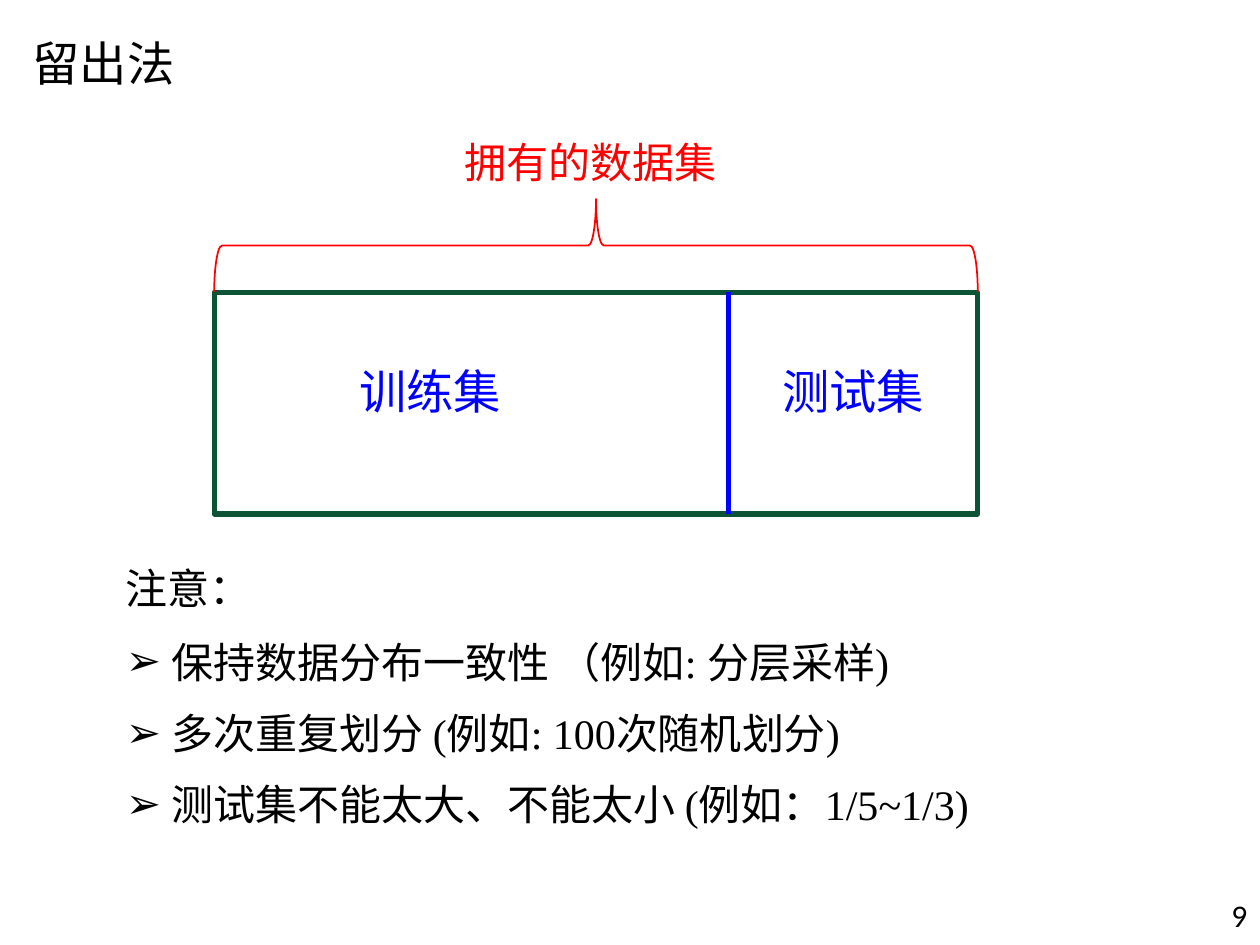
from itertools import cycle

from lxml import etree
from pptx import Presentation
from pptx.dml.color import RGBColor
from pptx.enum.shapes import MSO_CONNECTOR, MSO_SHAPE
from pptx.enum.text import MSO_ANCHOR, PP_ALIGN
from pptx.oxml.ns import qn
from pptx.util import Pt

LEFT, RIGHT = PP_ALIGN.LEFT, PP_ALIGN.RIGHT
TOP = MSO_ANCHOR.TOP
RECTANGLE, BRACE = MSO_SHAPE.RECTANGLE, MSO_SHAPE.LEFT_BRACE
STRAIGHT = MSO_CONNECTOR.STRAIGHT

COLORS = {"black": "000000", "blue": "0000FF", "red": "FF0000", "green": "0D5436"}
CJK, LATIN, NUMBER, BULLET = "Noto Sans CJK SC", "Times New Roman", "Calibri", "Arial"


def rgb(name):
    return RGBColor.from_string(COLORS[name])


def write(p, text, size=24, color="black", font=CJK, align=LEFT, line=None, before=0):
    """Add one run to a paragraph and set its format."""
    p.alignment = align
    p.space_before = Pt(before)
    if line:
        p.line_spacing = Pt(line)
    r = p.add_run()
    r.text = text
    r.font.size = Pt(size)
    r.font.bold = False
    r.font.color.rgb = rgb(color)
    r.font.name = font
    if font == CJK:
        etree.SubElement(r.font._element, qn("a:ea"), typeface=font)


def add_bullet(p, char="➢", indent=26):
    pPr = p._p.get_or_add_pPr()
    pPr.set("marL", str(Pt(indent)))
    pPr.set("indent", str(-Pt(indent)))
    etree.SubElement(pPr, qn("a:buFont"), typeface=BULLET)
    etree.SubElement(pPr, qn("a:buChar"), char=char)


class SlideBuilder:
    def __init__(self, slide):
        self.s = slide

    def frame(self, sp, wrap=False):
        tf = sp.text_frame
        tf.word_wrap = wrap
        tf.vertical_anchor = TOP
        tf.margin_left = tf.margin_right = tf.margin_top = tf.margin_bottom = 0
        return tf

    def title(self, text, x, y, w, h, **fmt):
        sp = self.s.shapes.title
        sp.left, sp.top, sp.width, sp.height = Pt(x), Pt(y), Pt(w), Pt(h)
        write(self.frame(sp).paragraphs[0], text, **fmt)

    def box(self, x, y, w, h):
        return self.frame(self.s.shapes.add_textbox(Pt(x), Pt(y), Pt(w), Pt(h)), wrap=True)

    def label(self, text, x, y, w, h, **fmt):
        write(self.box(x, y, w, h).paragraphs[0], text, **fmt)

    def outline(self, kind, x, y, w, h, color, weight, rotation=0):
        sp = self.s.shapes.add_shape(kind, Pt(x), Pt(y), Pt(w), Pt(h))
        sp.shadow.inherit = False
        sp.fill.background()
        sp.line.color.rgb = rgb(color)
        sp.line.width = Pt(weight)
        sp.rotation = rotation

    def line(self, x1, y1, x2, y2, color, weight):
        c = self.s.shapes.add_connector(STRAIGHT, Pt(x1), Pt(y1), Pt(x2), Pt(y2))
        c.line.color.rgb = rgb(color)
        c.line.width = Pt(weight)
        etree.SubElement(c._element.spPr, qn("a:effectLst"))

    def bullets(self, heading, items, x, y, w, h):
        """Heading and bullets; each item alternates CJK and Latin runs."""
        tf = self.box(x, y, w, h)
        write(tf.paragraphs[0], heading, line=23.1)
        for i, item in enumerate(items):
            p = tf.add_paragraph()
            add_bullet(p)
            for text, font in zip(item, cycle((CJK, LATIN))):
                write(p, text, font=font, line=30.7 if i else 32.4, before=10)


def main():
    prs = Presentation()
    prs.slide_width, prs.slide_height = Pt(720), Pt(540)
    b = SlideBuilder(prs.slides.add_slide(prs.slide_layouts[5]))

    # Title and page number
    b.title("留出法", 18.7, 25.2, 391, 27, size=27, line=26.9)
    b.label("9", 640, 512, 72.8, 22, size=18, font=NUMBER, align=RIGHT)

    # Data set bar, split into training and test sets
    x, y, w, h = 122.4, 167, 436.3, 126.7
    split = 416.2
    b.outline(RECTANGLE, x, y, w, h, "green", 3)
    b.line(split, y, split, y + h, "blue", 3)
    for text, left in (("训练集", 205.2), ("测试集", 447.1)):
        b.label(text, left, 212.4, 84, 26.9, size=27, color="blue", line=26.9)

    # Brace over the whole bar: a left brace turned to point up
    depth = 53.3
    b.outline(BRACE, x + (w - depth) / 2, y - (depth + w) / 2, depth, w, "red", 1, 90)
    b.label("拥有的数据集", 265.7, 82.1, 150, 24.9, color="red", line=24.9)

    # Points to note
    b.bullets("注意：", [
        ("保持数据分布一致性 （例如", ": ", "分层采样", ")"),
        ("多次重复划分 ", "(", "例如", ": 100", "次随机划分", ")"),
        ("测试集不能太大、不能太小 ", "(", "例如：", "1/5~1/3)"),
    ], 72, 326.9, 540, 146.9)

    prs.save("out.pptx")


if __name__ == "__main__":
    main()
